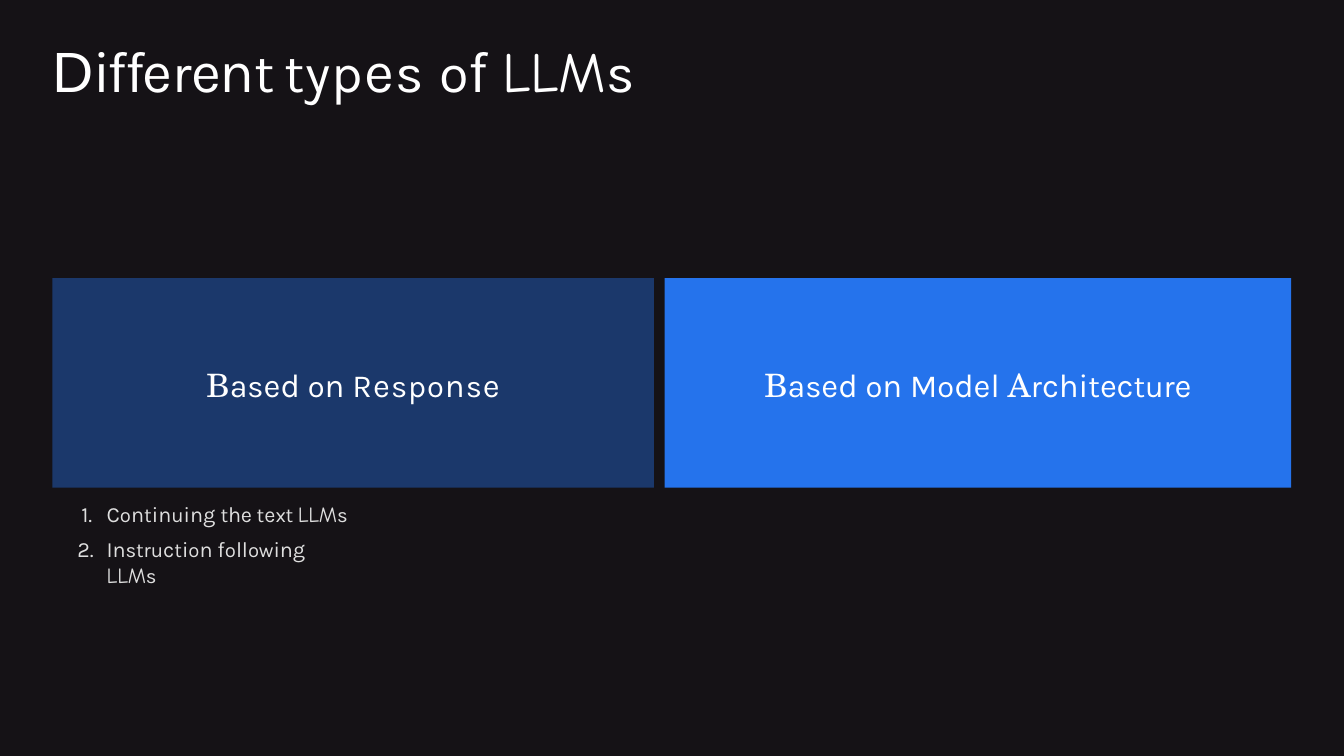
import itertools

import pptx
import pptx.dml.color
import pptx.enum.shapes
import pptx.enum.text
import pptx.oxml.ns
import pptx.util
from lxml import etree
from pptx.util import Cm

BACKGROUND, BLUE, WHITE, GREY = "151216", "2573EC", "FFFFFF", "DEDEDE"
SANS, SERIF, HAND = "Karla", "TeX Gyre Schola", "Comic Neue"
SMALL_LETTERS = "oprstuwxy"


def rgb(value):
    return pptx.dml.color.RGBColor.from_string(value)


def add_xml(parent, tag, **attributes):
    return etree.SubElement(parent, pptx.oxml.ns.qn(tag), attributes)


def mixed(text, large, small, spacing=0):
    """Sans runs in two sizes by letter; a space takes the size before it."""
    sizes = []
    for letter in text:
        size = small if letter in SMALL_LETTERS else large
        sizes.append(sizes[-1] if letter == " " else size)
    runs = []
    for size, group in itertools.groupby(zip(text, sizes), lambda pair: pair[1]):
        runs.append(("".join(letter for letter, _ in group), SANS, size, spacing))
    return runs


def add_runs(p, runs, color):
    """Each run is (text, font name, size, letter spacing in points)."""
    for text, name, size, spacing in runs:
        r = p.add_run()
        r.text = text
        for key, value in {"name": name, "size": pptx.util.Pt(size)}.items():
            setattr(r.font, key, value)
        r.font.color.rgb = rgb(color)
        if spacing:
            r._r.get_or_add_rPr().set("spc", str(round(spacing * 100)))


def format_frame(tf, top=0, anchor="TOP"):
    values = {
        "word_wrap": True,
        "margin_left": 0,
        "margin_top": Cm(top),
        "margin_right": 0,
        "margin_bottom": 0,
        "vertical_anchor": pptx.enum.text.MSO_ANCHOR[anchor],
    }
    for key, value in values.items():
        setattr(tf, key, value)


def add_text_box(s, left, top, width, height, inset):
    tf = s.shapes.add_textbox(Cm(left), Cm(top), Cm(width), Cm(height)).text_frame
    format_frame(tf, inset)
    return tf


def add_numbered_list(tf, items):
    for i, runs in enumerate(items):
        p = tf.paragraphs[0] if i == 0 else tf.add_paragraph()
        if i:
            p.space_before = pptx.util.Pt(6.2)
        # The wider second number hangs further out
        hang = Cm(0.64 if i == 0 else 0.74)
        pPr = p._p.get_or_add_pPr()
        pPr.set("marL", str(Cm(0.79)))
        pPr.set("indent", str(-hang))
        add_xml(pPr, "a:buFont", typeface=SANS)
        add_xml(pPr, "a:buAutoNum", type="arabicPeriod")
        add_runs(p, runs, GREY)


def add_rectangle(s, left, top, width, height, color):
    sp = s.shapes.add_shape(pptx.enum.shapes.MSO_SHAPE.RECTANGLE,
                            Cm(left), Cm(top), Cm(width), Cm(height))
    sp.shadow.inherit = False
    sp.fill.solid()
    sp.fill.fore_color.rgb = rgb(color)
    sp.line.fill.background()
    return sp


def add_card(s, left, width, runs, opacity=100):
    sp = add_rectangle(s, left, 7.01, width, 5.28, BLUE)
    if opacity < 100:
        color = sp._element.spPr.find(".//" + pptx.oxml.ns.qn("a:srgbClr"))
        add_xml(color, "a:alpha", val=str(opacity * 1000))
    format_frame(sp.text_frame, 0.05, "MIDDLE")
    p = sp.text_frame.paragraphs[0]
    p.alignment = pptx.enum.text.PP_ALIGN.CENTER
    add_runs(p, runs, WHITE)


def main():
    prs = pptx.Presentation()
    prs.slide_width, prs.slide_height = Cm(33.87), Cm(19.05)
    s = prs.slides.add_slide(prs.slide_layouts[6])

    # Dark backdrop
    add_rectangle(s, 0, 0, 33.87, 19.05, BACKGROUND)

    # Title
    title = add_text_box(s, 1.32, 0.41, 31.27, 3.43, 0.46)
    add_runs(title.paragraphs[0], [
        ("D", "Arial", 40.5, -1.9),
        *mixed("ifferent ", 41.5, 38.5, -1.9),
        *mixed("types ", 41.5, 38.5, 0.8),
        *mixed("of ", 41.5, 38.5),
        ("LLM", HAND, 40.5, -0.2),
        ("s", SANS, 38.5, -0.2),
    ], WHITE)

    # Kinds of response
    llms = [("LLM", HAND, 15.5, -0.2), ("s", SANS, 14.5, -0.2)]
    kinds = add_text_box(s, 1.9, 12.37, 7.09, 1.83, 0.26)
    add_numbered_list(kinds, [
        mixed("Continuing ", 15.5, 14.5) + mixed("the ", 15.5, 14.5, -0.3)
        + mixed("text ", 15.5, 14.5, -0.2) + llms,
        mixed("Instruction following ", 15.5, 14.5, -0.1) + llms,
    ])

    # Two cards side by side
    left, width, gap = 1.32, 15.16, 0.27
    based_on = [("B", SERIF, 23, 0), ("a", SANS, 23, 0), *mixed("sed on ", 23.5, 22)]
    add_card(s, left, width, [
        *based_on,
        ("R", SANS, 23, 0.7),
        *mixed("esponse", 23.5, 22, 0.7),
    ], opacity=40)
    add_card(s, left + width + gap, 15.79, [
        *based_on,
        ("M", SANS, 23, 0),
        *mixed("odel ", 23.5, 22),
        ("A", SERIF, 23, -0.1),
        *mixed("rchitecture", 23.5, 22, -0.1),
    ])

    prs.save("out.pptx")


if __name__ == "__main__":
    main()
